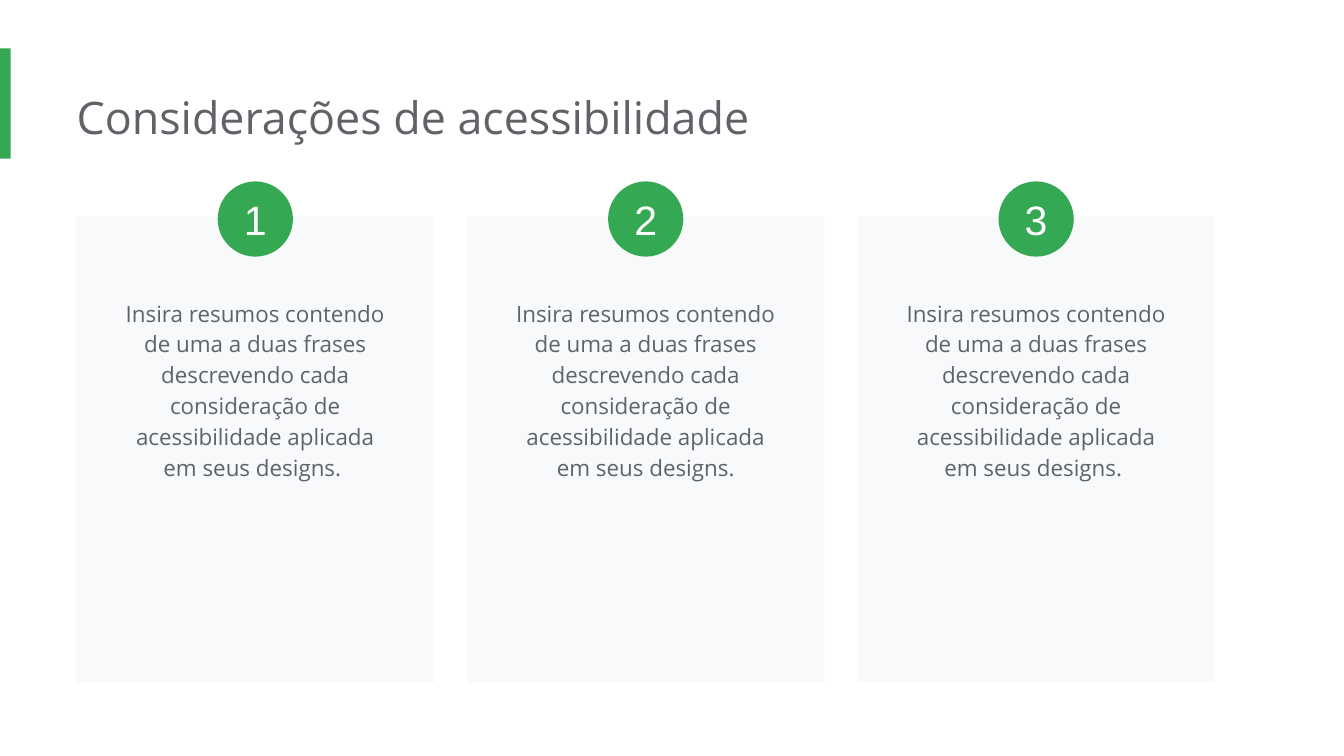
from dataclasses import dataclass

from pptx import Presentation
from pptx import util as u
from pptx.dml.color import RGBColor
from pptx.enum import shapes, text

COLORS = {"green": "34A853", "card": "F8F9FA", "text": "5F6368", "white": "FFFFFF"}
SUMMARY = ("Insira resumos contendo de uma a duas frases descrevendo cada "
           "consideração de acessibilidade aplicada em seus designs.")
SUMMARIES = [SUMMARY + " ", SUMMARY, SUMMARY + " "]

# Slide and card grid, in inches
SLIDE_W = 10
SLIDE_H = SLIDE_W * 9 / 16
LEFT, PITCH, CARD_W = 0.57, 2.905, 2.66
CARD_TOP, CARD_H = 1.61, 3.47
BADGE_TOP, BADGE = 1.35, 0.56
BODY_TOP, BODY_W, BODY_H = 2.1, 2.24, 1.58


@dataclass
class Box:
    left: float
    top: float
    width: float
    height: float

    def emu(self) -> list:
        return [u.Inches(v) for v in (self.left, self.top, self.width, self.height)]


@dataclass
class Style:
    size: int
    font: str
    color: str
    align: text.PP_ALIGN = text.PP_ALIGN.CENTER
    spacing: float = 1.0


TITLE = Style(24, "Open Sans", "text", text.PP_ALIGN.LEFT)
BODY = Style(12, "Open Sans", "text", spacing=1.15)
NUMBER = Style(22, "Arial", "white")


def add_filled(slide, kind: shapes.MSO_SHAPE, box: Box, color: str):
    sp = slide.shapes.add_shape(kind, *box.emu())
    sp.shadow.inherit = False
    sp.fill.solid()
    sp.fill.fore_color.rgb = RGBColor.from_string(COLORS[color])
    sp.line.fill.background()
    return sp


def set_text(sp, words: str, style: Style) -> None:
    tf = sp.text_frame
    tf.word_wrap = True
    tf.text = words
    p = tf.paragraphs[0]
    p.alignment = style.align
    p.line_spacing = style.spacing
    font = p.runs[0].font
    font.size = u.Pt(style.size)
    font.name = style.font
    font.color.rgb = RGBColor.from_string(COLORS[style.color])


def add_text(slide, box: Box, words: str, style: Style, inset_left: float = 0.1) -> None:
    sp = slide.shapes.add_textbox(*box.emu())
    tf = sp.text_frame
    tf.margin_left = u.Inches(inset_left)
    tf.margin_right = tf.margin_top = tf.margin_bottom = u.Inches(0.1)
    tf.auto_size = text.MSO_AUTO_SIZE.SHAPE_TO_FIT_TEXT
    set_text(sp, words, style)


def add_badge(slide, box: Box, number: int) -> None:
    sp = add_filled(slide, shapes.MSO_SHAPE.OVAL, box, "green")
    tf = sp.text_frame
    tf.margin_left = tf.margin_right = tf.margin_top = tf.margin_bottom = 0
    tf.vertical_anchor = text.MSO_ANCHOR.MIDDLE
    set_text(sp, str(number), NUMBER)


def add_card(slide, column: int, summary: str) -> None:
    left = LEFT + column * PITCH
    center = left + CARD_W / 2
    add_filled(slide, shapes.MSO_SHAPE.RECTANGLE,
               Box(left, CARD_TOP, CARD_W, CARD_H), "card")
    add_text(slide, Box(center - BODY_W / 2, BODY_TOP, BODY_W, BODY_H), summary, BODY)
    add_badge(slide, Box(center - BADGE / 2, BADGE_TOP, BADGE, BADGE), column + 1)


def main() -> None:
    prs = Presentation()
    prs.slide_width, prs.slide_height = u.Inches(SLIDE_W), u.Inches(SLIDE_H)
    s = prs.slides.add_slide(prs.slide_layouts[6])

    # Accent bar and title
    add_filled(s, shapes.MSO_SHAPE.RECTANGLE, Box(0, 0.36, 0.08, 0.82), "green")
    add_text(s, Box(LEFT, 0.57, 7.66, 0.6), "Considerações de acessibilidade",
             TITLE, inset_left=0)

    # Numbered cards
    for column, summary in enumerate(SUMMARIES):
        add_card(s, column, summary)

    prs.save("out.pptx")


if __name__ == "__main__":
    main()
